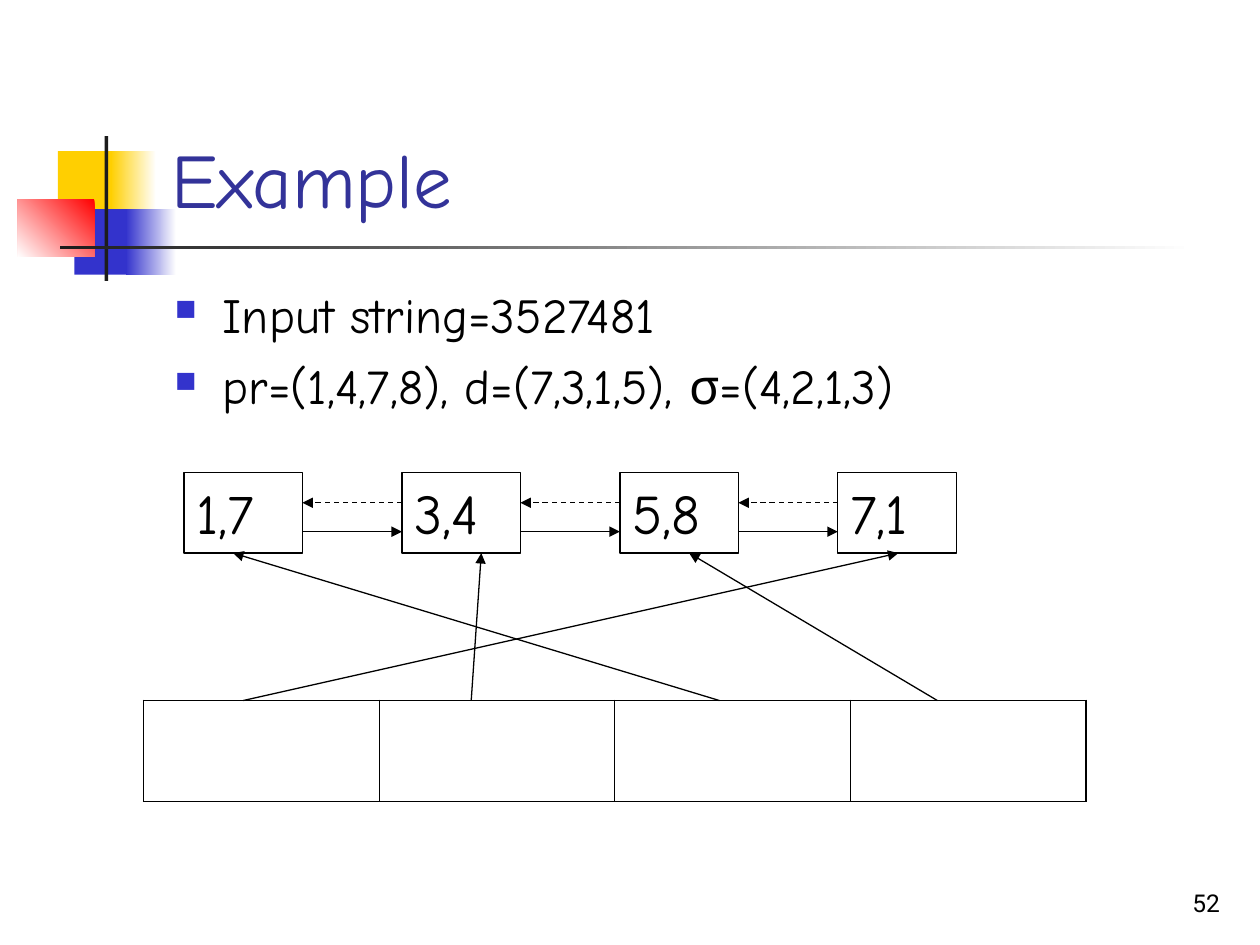
from lxml.etree import SubElement
from pptx import Presentation
from pptx.dml.color import RGBColor
from pptx.enum.dml import MSO_LINE
from pptx.enum.shapes import MSO_CONNECTOR, MSO_SHAPE
from pptx.enum.text import MSO_ANCHOR, PP_ALIGN
from pptx.oxml.ns import qn
from pptx.util import Inches, Pt


def color(value):
    return RGBColor.from_string(value)


def add_arrow(start, end, dashed=False):
    """Draw a thin black line with a triangle head at its end."""
    points = [Inches(value) for value in (*start, *end)]
    arrow = page.shapes.add_connector(MSO_CONNECTOR.STRAIGHT, *points)
    arrow.line.color.rgb = color("000000")
    arrow.line.width = Pt(0.75)
    if dashed:
        arrow.line.dash_style = MSO_LINE.DASH
    SubElement(arrow.line._get_or_add_ln(), qn("a:tailEnd"), type="triangle")
    SubElement(arrow._element.spPr, qn("a:effectLst"))


deck = Presentation()
deck.slide_width, deck.slide_height = Inches(10), Inches(7.5)
page = deck.slides.add_slide(deck.slide_layouts[6])

# Corner decoration: place, first colour, last colour, counterclockwise angle
decoration = [
    ((0.46, 1.2, 0.48, 0.52), "FFCF01", None, 0),
    ((0.88, 1.2, 0.36, 0.52), "FFFFFF", "FFCF01", 180),
    ((0.59, 1.66, 0.46, 0.52), "3333CC", None, 0),
    ((1, 1.66, 0.4, 0.52), "FFFFFF", "3333CC", 180),
    ((0.14, 1.58, 0.61, 0.46), "FF0000", "FFFFFF", 225),
    ((0.83, 1.08, 0.03, 1.15), "1C1C1C", None, 0),
    ((0.48, 1.95, 9, 0.03), "FFFFFF", "1C1C1C", 180),
]
for place, first, last, angle in decoration:
    block = page.shapes.add_shape(MSO_SHAPE.RECTANGLE, *map(Inches, place))
    block.shadow.inherit = False
    block.line.fill.background()
    if last:
        block.fill.gradient()
        block.fill.gradient_angle = angle
        for stop, value, position in zip(block.fill.gradient_stops, (first, last), (0, 1)):
            stop.color.rgb = color(value)
            stop.position = position
    else:
        block.fill.solid()
        block.fill.fore_color.rgb = color(first)

# Title, bullet list and page number
texts = [
    {"place": (1.26, 0.23, 8.52, 1.6), "lines": ["Example"], "anchor": MSO_ANCHOR.BOTTOM,
     "font": {"name": "Comic Neue", "size": Pt(44)}, "color": "333399"},
    {"place": (1.29, 2.21, 7.41, 4.5), "anchor": MSO_ANCHOR.TOP, "bullets": True,
     "lines": ["Input string=3527481", "pr=(1,4,7,8), d=(7,3,1,5), σ=(4,2,1,3)"],
     "font": {"name": "Comic Neue", "size": Pt(28)}, "color": "000000"},
    {"place": (7.7, 6.83, 2.08, 0.5), "lines": ["52"], "anchor": MSO_ANCHOR.BOTTOM,
     "align": PP_ALIGN.RIGHT, "font": {"name": "Roboto", "size": Pt(14)}, "color": "000000"},
]
for text in texts:
    box = page.shapes.add_textbox(*map(Inches, text["place"]))
    frame = box.text_frame
    frame.word_wrap = True
    frame.vertical_anchor = text["anchor"]
    for index, line in enumerate(text["lines"]):
        para = frame.add_paragraph() if index else frame.paragraphs[0]
        para.alignment = text.get("align", PP_ALIGN.LEFT)
        if index:
            para.space_before = Pt(7)
        if "bullets" in text:
            properties = para._p.get_or_add_pPr()
            properties.set("marL", str(Inches(0.38)))
            properties.set("indent", str(Inches(-0.38)))
            bullet_color = SubElement(properties, qn("a:buClr"))
            SubElement(bullet_color, qn("a:srgbClr"), val="3333CC")
            SubElement(properties, qn("a:buSzPct"), val="60000")
            SubElement(properties, qn("a:buChar"), char="■")
        span = para.add_run()
        span.text = line
        for name, value in text["font"].items():
            setattr(span.font, name, value)
        span.font.color.rgb = color(text["color"])

# Array of four empty cells
columns = 4
array_top = 5.56
array = page.shapes.add_table(1, columns, Inches(1.14), Inches(array_top),
                              Inches(7.48), Inches(0.8)).table
array.first_row = array.horz_banding = False
for index, cell in enumerate(array.iter_cells()):
    cell_properties = cell._tc.get_or_add_tcPr()
    thick = {"lnL": index == 0, "lnR": index == columns - 1, "lnT": True, "lnB": True}
    for side, is_outer in thick.items():
        width = Pt(1.08 if is_outer else 0.45)
        border = SubElement(cell_properties, qn(f"a:{side}"), w=str(width))
        border_fill = SubElement(border, qn("a:solidFill"))
        SubElement(border_fill, qn("a:srgbClr"), val="000000")
    cell.fill.background()

# Doubly linked list of nodes
node_left, node_top, node_width, node_height, node_step = 1.46, 3.75, 0.94, 0.64, 1.73
for index, label in enumerate(["1,7", "3,4", "5,8", "7,1"]):
    left = node_left + index * node_step
    node = page.shapes.add_shape(MSO_SHAPE.RECTANGLE, Inches(left), Inches(node_top),
                                 Inches(node_width), Inches(node_height))
    node.shadow.inherit = False
    node.fill.background()
    node.line.color.rgb = color("000000")
    node.line.width = Pt(0.75)
    node.text_frame.vertical_anchor = MSO_ANCHOR.TOP
    para = node.text_frame.paragraphs[0]
    para.alignment = PP_ALIGN.LEFT
    span = para.add_run()
    span.text = label
    for name, value in {"name": "Comic Neue", "size": Pt(32)}.items():
        setattr(span.font, name, value)
    span.font.color.rgb = color("000000")
    if index:
        previous_right = left - node_step + node_width
        add_arrow((previous_right, 4.22), (left, 4.22))
        add_arrow((left, 3.99), (previous_right, 3.99), dashed=True)

# Pointers from the array cells to the nodes
for cell_x, node_x in [(1.93, 7.13), (3.74, 3.82), (5.71, 1.85), (7.44, 5.47)]:
    add_arrow((cell_x, array_top), (node_x, node_top + node_height))

deck.save("out.pptx")
